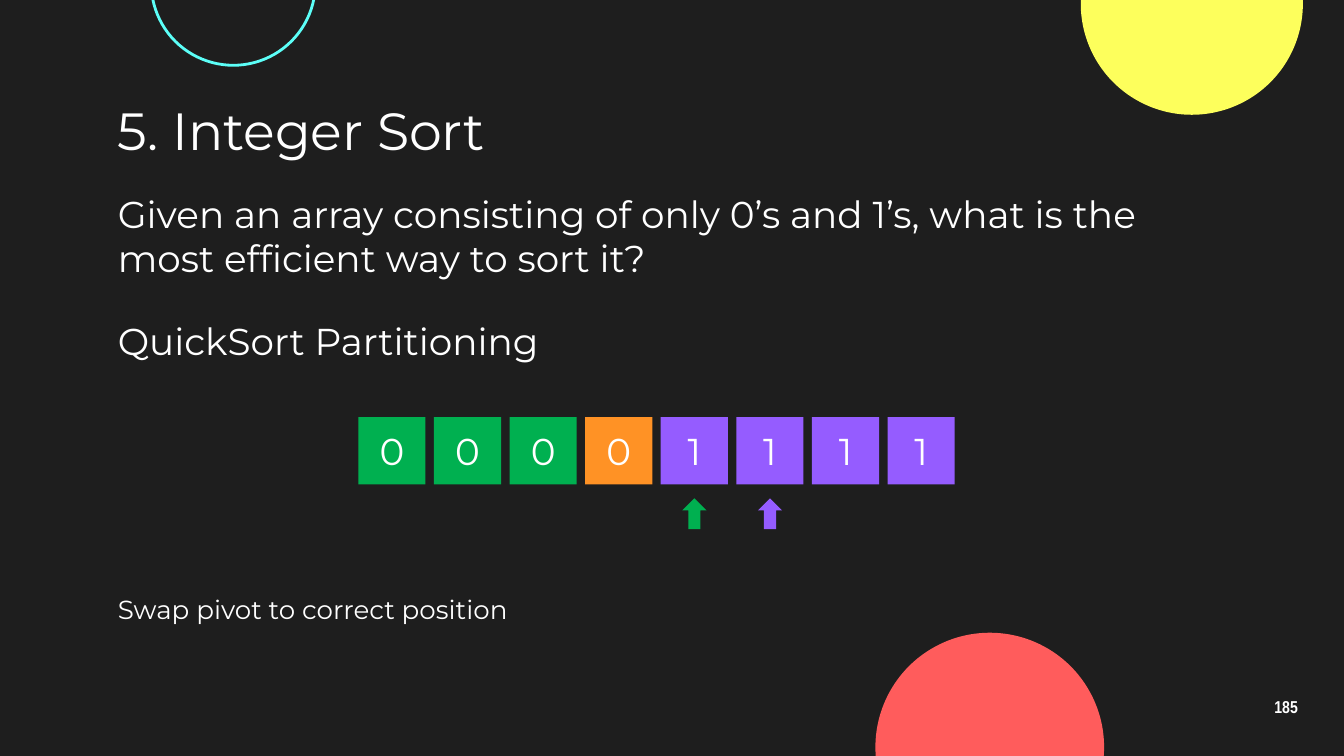
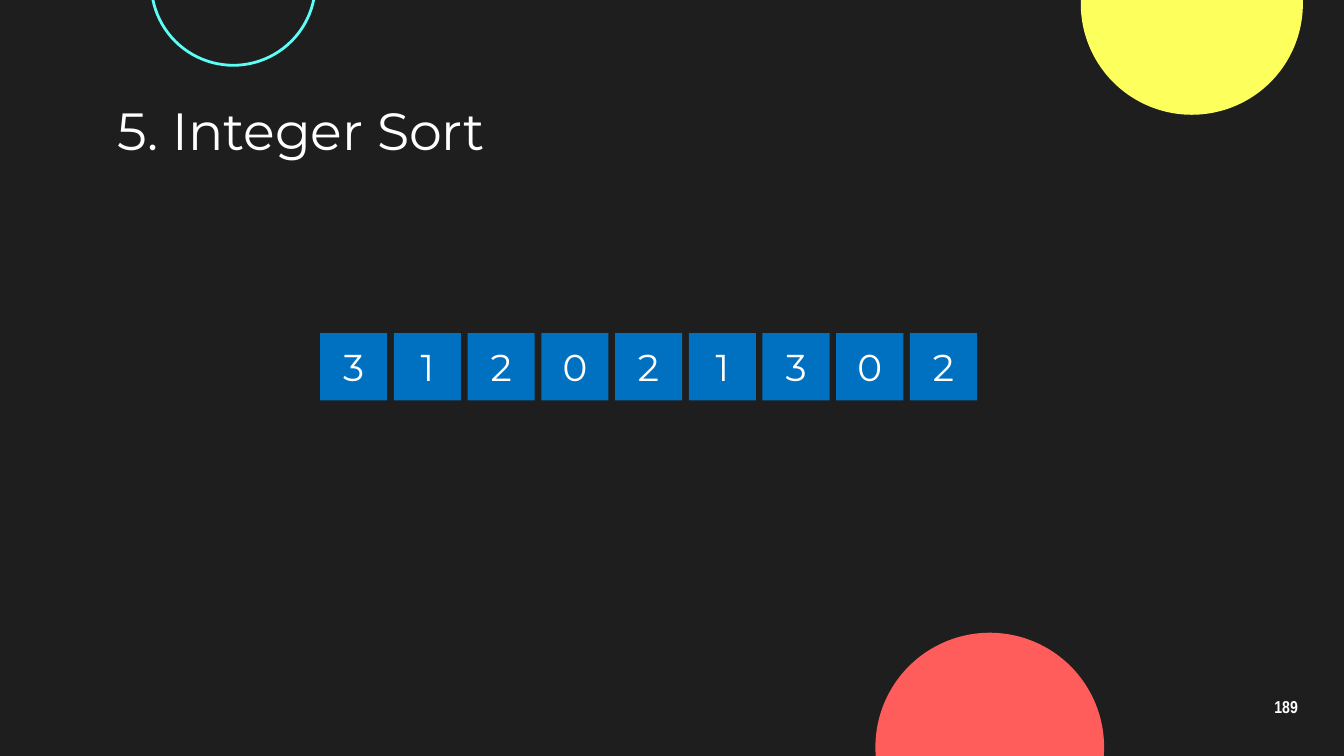
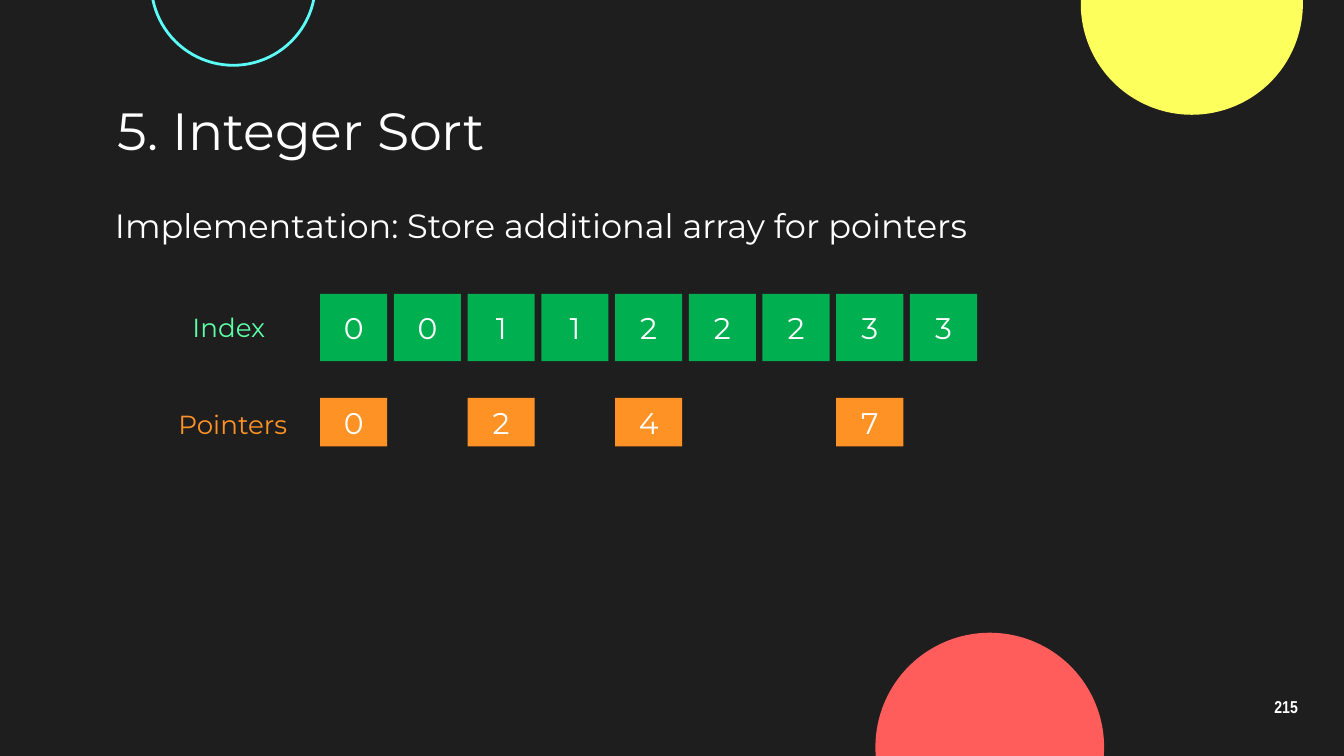
import pptx
import pptx.dml.color
import pptx.enum.shapes
import pptx.enum.text
import pptx.util

Pt = pptx.util.Pt
Kind = pptx.enum.shapes.MSO_SHAPE
Align = pptx.enum.text.PP_ALIGN
Anchor = pptx.enum.text.MSO_ANCHOR
Fit = pptx.enum.text.MSO_AUTO_SIZE

DARK, WHITE = "1E1E1E", "FFFFFF"
GREEN, ORANGE, PURPLE, BLUE = "00B050", "FF9225", "955CFF", "0070C0"
MINT, YELLOW, CYAN, RED = "5CFFA6", "FDFF5C", "5CFFF8", "FF5C5C"

TITLE = "5. Integer Sort"
TITLE_BOX = (56, 51, 608, 37)
PAGE_BOX = (667.5, 367, 43, 24.5)
SIDE = 36

CIRCLES = [
    ((579, -57.5, 119, 119), YELLOW, None),
    ((81, -53, 88, 88), None, CYAN),
    ((469, 339, 122.5, 122.5), RED, None),
]

SLIDES = [
    {
        "page": "185",
        "texts": [
            ("Given an array consisting of only 0’s and 1’s, what is the most "
             "efficient way to sort it?", (56, 95, 616, 37), {"size": 20, "inset": 7.2}),
            ("QuickSort Partitioning", (56, 163, 616, 37), {"size": 20, "inset": 7.2}),
            ("Swap pivot to correct position", (56, 310.5, 616, 37),
             {"size": 14, "inset": 7.2}),
        ],
        "rows": [
            {"cells": list(enumerate("00001111")),
             "fills": [GREEN] * 3 + [ORANGE] + [PURPLE] * 4,
             "left": 192, "top": 223.5, "pitch": 40.5, "size": 20},
        ],
        "arrows": [(4, GREEN), (5, PURPLE)],
    },
    {
        "page": "189",
        "rows": [
            {"cells": list(enumerate("312021302")), "fills": [BLUE] * 9,
             "left": 171.5, "top": 178.5, "pitch": 39.5, "size": 20},
        ],
    },
    {
        "page": "215",
        "texts": [
            ("Implementation: Store additional array for pointers",
             (54.5, 106, 521, 29), {"size": 18}),
            ("Index", (96, 163.5, 59, 24.5), {"size": 14, "color": MINT}),
            ("Pointers", (43, 215.5, 118, 24.5),
             {"size": 14, "color": ORANGE, "align": Align.RIGHT}),
        ],
        "rows": [
            {"cells": list(enumerate("001122233")), "fills": [GREEN] * 9,
             "left": 171.5, "top": 157.5, "pitch": 39.5, "size": 16},
            {"cells": [(spot, str(spot)) for spot in (0, 2, 4, 7)],
             "fills": [ORANGE] * 4, "high": 26,
             "left": 171.5, "top": 213.2, "pitch": 39.5, "size": 16},
        ],
    },
]


def rgb(code):
    return pptx.dml.color.RGBColor.from_string(code)


def place(shape, box):
    shape.left, shape.top, shape.width, shape.height = map(Pt, box)


def write(shape, text, size=20, color=WHITE, font="Montserrat", bold=False,
          align=Align.LEFT, anchor=Anchor.TOP, inset=3.6, space=None):
    frame = shape.text_frame
    frame.auto_size = Fit.NONE
    frame.word_wrap = True
    frame.vertical_anchor = anchor
    frame.margin_left = frame.margin_right = Pt(7.2)
    frame.margin_top = frame.margin_bottom = Pt(inset)
    frame.text = text
    para = frame.paragraphs[0]
    para.alignment = align
    para.line_spacing = space
    run = para.runs[0].font
    run.size, run.name, run.bold = Pt(size), font, bold
    run.color.rgb = rgb(color)


def draw(slide, kind, box, fill=None, line=None):
    shape = slide.shapes.add_shape(kind, *map(Pt, box))
    shape.shadow.inherit = False
    if fill:
        shape.fill.solid()
        shape.fill.fore_color.rgb = rgb(fill)
    else:
        shape.fill.background()
    if line:
        shape.line.color.rgb = rgb(line)
        shape.line.width = Pt(1.5)
    else:
        shape.line.fill.background()
    return shape


def label(slide, text, box, **look):
    write(slide.shapes.add_textbox(*map(Pt, box)), text, **look)


def dress(deck, slide):
    master = deck.slide_master
    master.background.fill.solid()
    master.background.fill.fore_color.rgb = rgb(DARK)
    for box, fill, line in CIRCLES:
        shape = draw(slide, Kind.OVAL, box, fill, line)
        master.shapes.element.append(shape.element)


def line_up(slide, row):
    for (spot, text), fill in zip(row["cells"], row["fills"]):
        left = row["left"] + spot * row["pitch"]
        box = (left, row["top"], SIDE, row.get("high", SIDE))
        cell = draw(slide, Kind.RECTANGLE, box, fill)
        write(cell, text, size=row["size"], align=Align.CENTER, anchor=Anchor.MIDDLE)


def point(slide, row, spot, fill):
    wide, high, gap = 13, 16.5, 7.5
    left = row["left"] + spot * row["pitch"] + (SIDE - wide) / 2
    draw(slide, Kind.UP_ARROW, (left, row["top"] + SIDE + gap, wide, high), fill)


def build(slide, part):
    place(slide.shapes.title, TITLE_BOX)
    write(slide.shapes.title, TITLE, size=28, anchor=Anchor.MIDDLE, inset=7.2)
    for text, box, look in part.get("texts", []):
        label(slide, text, box, **look)
    for row in part["rows"]:
        line_up(slide, row)
    for spot, fill in part.get("arrows", []):
        point(slide, part["rows"][0], spot, fill)
    label(slide, part["page"], PAGE_BOX, size=9.2, font="Arial Narrow", bold=True,
          align=Align.CENTER, anchor=Anchor.MIDDLE, inset=7.2, space=0.9)


def main():
    deck = pptx.Presentation()
    deck.slide_width, deck.slide_height = Pt(720), Pt(405)
    for part in SLIDES:
        slide = deck.slides.add_slide(deck.slide_layouts[5])
        if len(deck.slides) == 1:
            dress(deck, slide)
        build(slide, part)
    deck.save("out.pptx")


if __name__ == "__main__":
    main()
